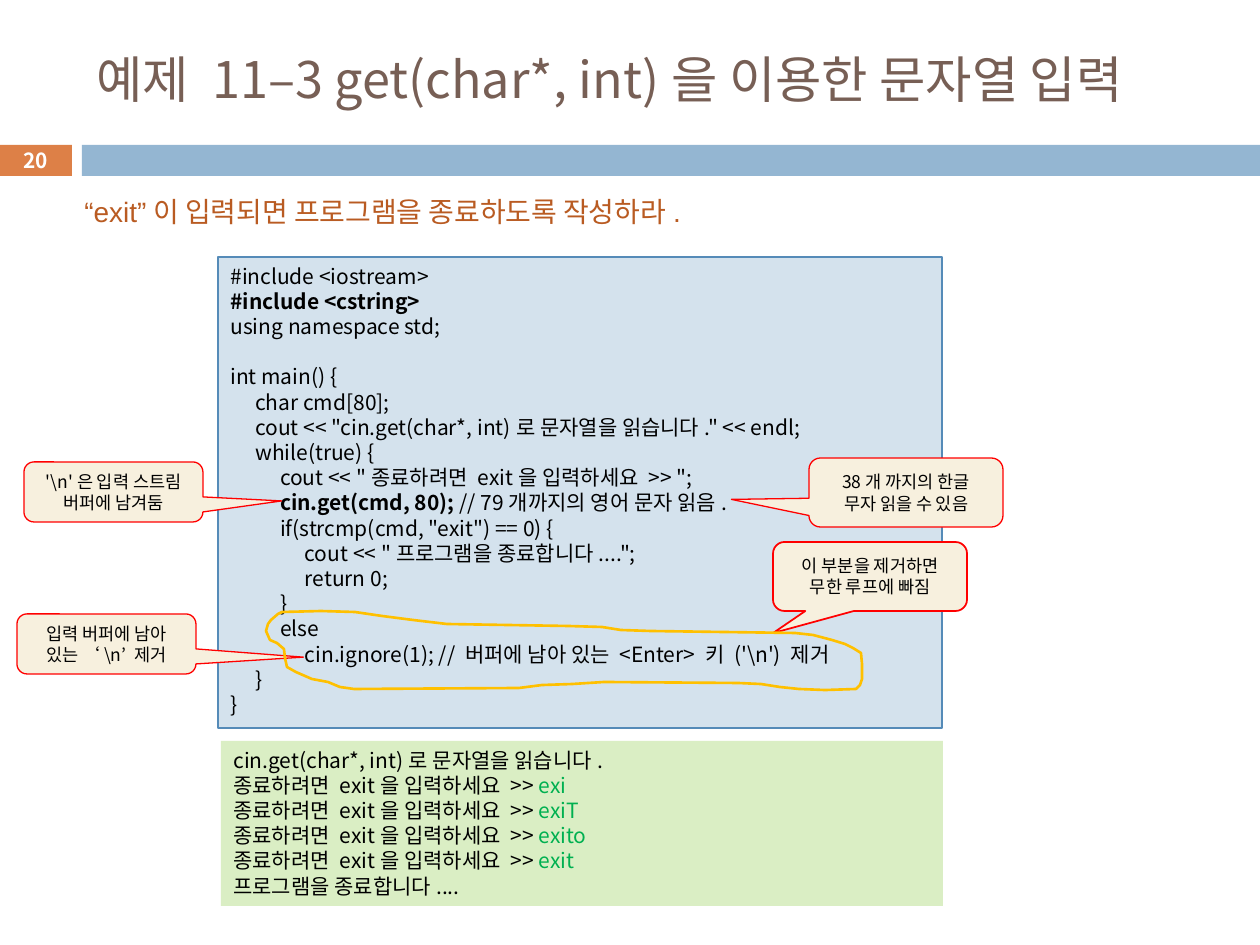
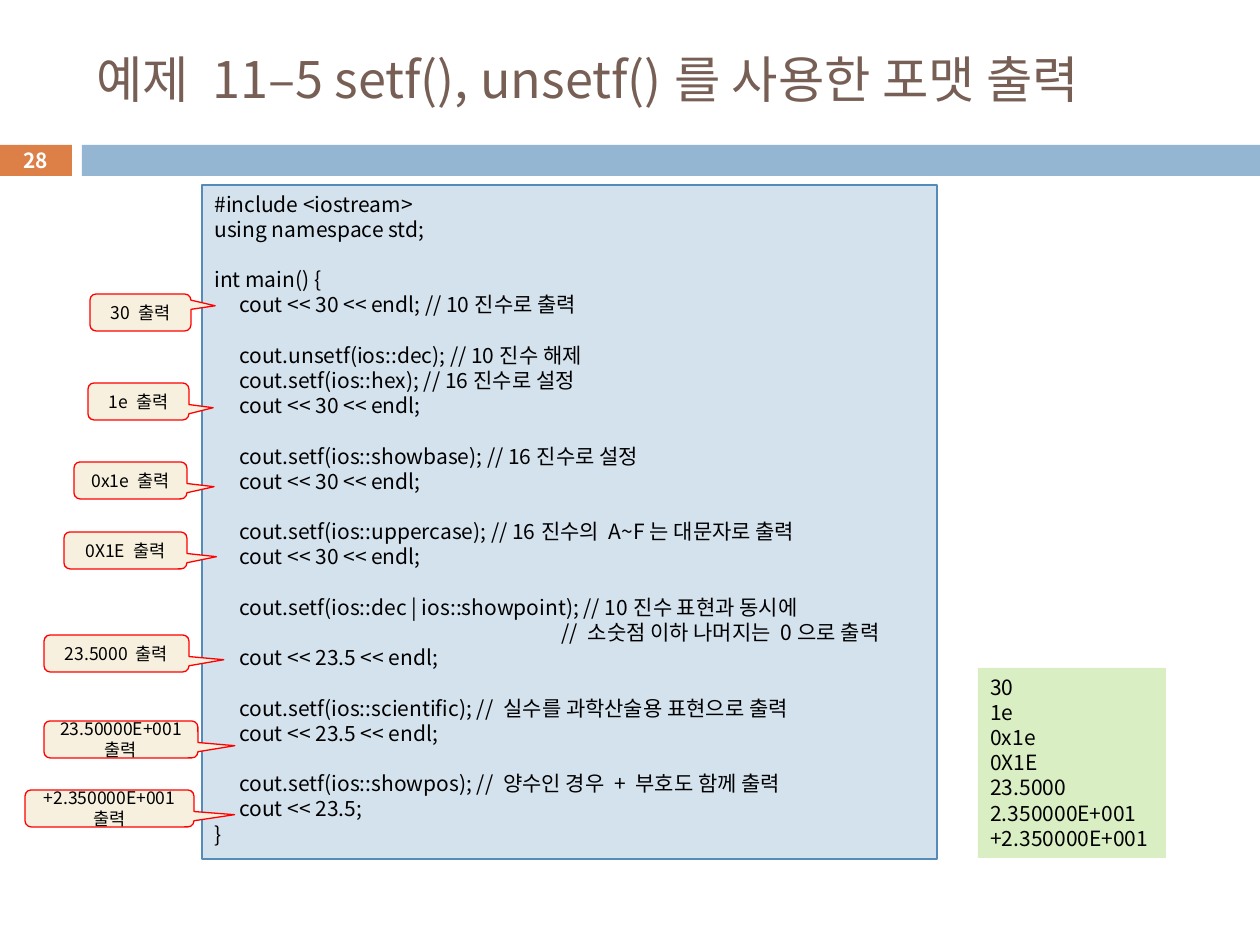
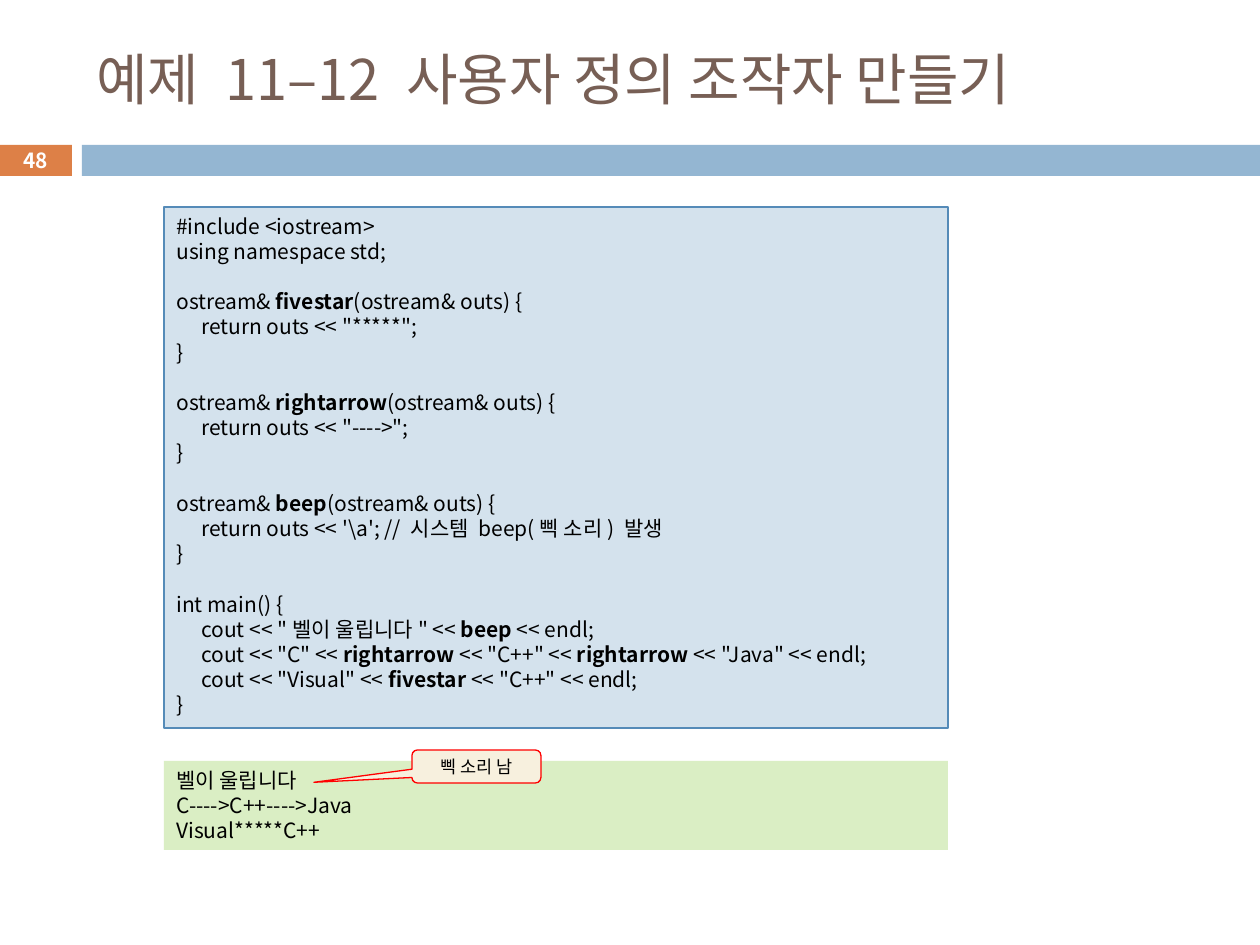
from lxml import etree
from pptx import Presentation
from pptx import util as u
from pptx.dml.color import RGBColor
from pptx.enum import shapes, text
from pptx.oxml.ns import qn

PX = 914400 / 126
SANS = "Noto Sans CJK KR"
TITLE_BROWN = RGBColor(0x77, 0x5F, 0x55)
ORANGE = RGBColor(0xDD, 0x80, 0x47)
BAND_BLUE = RGBColor(0x94, 0xB6, 0xD2)
CODE_BLUE = RGBColor(0xD4, 0xE2, 0xED)
CODE_BORDER = RGBColor(0x55, 0x8B, 0xB8)
CONSOLE_GREEN = RGBColor(0xDA, 0xEE, 0xC4)
INPUT_GREEN = RGBColor(0x00, 0xB0, 0x50)
CALLOUT_CREAM = RGBColor(0xF7, 0xF0, 0xDE)
RED = RGBColor(0xFF, 0x00, 0x00)
AMBER = RGBColor(0xFF, 0xC0, 0x00)
RUST = RGBColor(0xB9, 0x5B, 0x22)
BLACK = RGBColor(0x00, 0x00, 0x00)
WHITE = RGBColor(0xFF, 0xFF, 0xFF)

RECTANGLE = shapes.MSO_SHAPE.RECTANGLE
CALLOUT = shapes.MSO_SHAPE.ROUNDED_RECTANGULAR_CALLOUT
MIDDLE = text.MSO_ANCHOR.MIDDLE
TOP = text.MSO_ANCHOR.TOP
LEFT = text.PP_ALIGN.LEFT
CENTER = text.PP_ALIGN.CENTER
TAB_STEP = 180000
TAB_COUNT = 14


def add_box(slide, kind, bounds, fill=None, line=None, weight=0.75):
    shape = slide.shapes.add_shape(kind, *(round(length * PX) for length in bounds))
    shape.shadow.inherit = False
    if fill is None:
        shape.fill.background()
    else:
        shape.fill.solid()
        shape.fill.fore_color.rgb = fill
    if line is None:
        shape.line.fill.background()
    else:
        shape.line.color.rgb = line
        shape.line.width = u.Pt(weight)
    return shape


def write(shape, lines, size, color=BLACK, align=LEFT, anchor=TOP, bold=False,
          font=SANS, marked_color=None):
    """Fill the shape; parts between backticks are bold, or in marked_color if given."""
    frame = shape.text_frame
    frame.word_wrap = True
    frame.vertical_anchor = anchor
    for index, line in enumerate(lines):
        paragraph = frame.paragraphs[0] if index == 0 else frame.add_paragraph()
        paragraph.alignment = align
        if line.startswith("\t"):
            stops = etree.SubElement(paragraph._p.get_or_add_pPr(), qn("a:tabLst"))
            for stop in range(1, TAB_COUNT + 1):
                etree.SubElement(stops, qn("a:tab"), pos=str(stop * TAB_STEP), algn="l")
        for part, words in enumerate(line.split("`")):
            if not words:
                continue
            marked = part % 2 == 1
            run = paragraph.add_run()
            run.text = words
            run.font.size = u.Pt(size)
            run.font.bold = bold or (marked and marked_color is None)
            run.font.color.rgb = marked_color if marked and marked_color else color
            run.font.name = font
            etree.SubElement(run.font._element, qn("a:ea"), typeface=SANS)
        if not line:
            end = etree.SubElement(paragraph._p, qn("a:endParaRPr"), sz=str(size * 100))
            for script in ("a:latin", "a:ea"):
                etree.SubElement(end, qn(script), typeface=SANS)


GET_CODE = r"""#include <iostream>
`#include <cstring>`
using namespace std;

int main() {
	char cmd[80];
	cout << "cin.get(char*, int)로 문자열을 읽습니다." << endl;
	while(true) {
		cout << "종료하려면 exit을 입력하세요 >> ";
		`cin.get(cmd, 80); `// 79개까지의 영어 문자 읽음.
		if(strcmp(cmd, "exit") == 0) {
			cout << "프로그램을 종료합니다....";
			return 0;
		}
		else
			cin.ignore(1); // 버퍼에 남아 있는 <Enter> 키 ('\n') 제거
	}
}"""
GET_OUTPUT = [
    "cin.get(char*, int)로 문자열을 읽습니다.",
    *(f"종료하려면 exit을 입력하세요 >> `{word}`" for word in ("exi", "exiT", "exito", "exit")),
    "프로그램을 종료합니다....",
]

FORMAT_CODE = r"""#include <iostream>
using namespace std;

int main() {
	cout << 30 << endl; // 10진수로 출력

	cout.unsetf(ios::dec); // 10진수 해제
	cout.setf(ios::hex); // 16진수로 설정
	cout << 30 << endl;

	cout.setf(ios::showbase); // 16진수로 설정
	cout << 30 << endl;

	cout.setf(ios::uppercase); // 16진수의 A~F는 대문자로 출력
	cout << 30 << endl;

	cout.setf(ios::dec | ios::showpoint); // 10진수 표현과 동시에
														// 소숫점 이하 나머지는 0으로 출력
	cout << 23.5 << endl;

	cout.setf(ios::scientific); // 실수를 과학산술용 표현으로 출력
	cout << 23.5 << endl;

	cout.setf(ios::showpos); // 양수인 경우 + 부호도 함께 출력
	cout << 23.5;
}"""
FORMAT_OUTPUT = ["30", "1e", "0x1e", "0X1E", "23.5000", "2.350000E+001", "+2.350000E+001"]

MANIPULATOR_CODE = r"""#include <iostream>
using namespace std;

ostream& `fivestar`(ostream& outs) {
	return outs << "*****";
}

ostream& `rightarrow`(ostream& outs) {
	return outs << "---->";
}

ostream& `beep`(ostream& outs) {
	return outs << '\a'; // 시스템 beep(삑 소리) 발생
}

int main() {
	cout << "벨이 울립니다" <<` beep `<< endl;
	cout << "C" << `rightarrow` << "C++" << `rightarrow` << "Java" << endl;
	cout << "Visual" << `fivestar `<< "C++" << endl;
}"""
MANIPULATOR_OUTPUT = ["벨이 울립니다", "C---->C++---->Java", "Visual*****C++"]

# Callouts: words, bounds, tip offset as a share of the size, line weight
GET_CALLOUTS = [
    (r"'\n'은 입력 스트림 버퍼에 남겨둠", (24, 462, 179, 60), (0.94, 0.15), 0.75),
    (r"입력 버퍼에 남아 있는 ‘\n’ 제거", (17, 614, 179, 60), (1.1, 0.22), 0.75),
    ("이 부분을 제거하면 무한 루프에 빠짐", (773, 542, 194, 69), (-0.5, 0.82), 1),
    ("38개 까지의 한글 무자 읽을 수 있음", (809, 458, 194, 69), (-0.9, 0.1), 0.75),
]
FORMAT_CALLOUTS = [
    (f"{value} 출력", (left, top, width, 37), (0.74, tip), 0.75)
    for value, left, top, width, tip in [
        ("30", 90, 294, 101, -0.18),
        ("1e", 88, 383, 101, 0.17),
        ("0x1e", 74, 462, 113, 0.17),
        ("0X1E", 64, 532, 123, 0.17),
        ("23.5000", 44, 635, 145, 0.17),
        ("23.50000E+001", 44, 721, 154, 0.17),
        ("+2.350000E+001", 25, 790, 169, 0.17),
    ]
]
MANIPULATOR_CALLOUTS = [("삑 소리 남", (412, 750, 129, 33), (-1.26, 0.48), 0.75)]

# Slides: number, title, title size, code, its bounds, output, its bounds, callouts
EXAMPLES = [
    (20, "예제 11–3 get(char*, int)을 이용한 문자열 입력", 28.8,
     GET_CODE, (218, 257, 724, 471), GET_OUTPUT, (221, 741, 722, 165), GET_CALLOUTS),
    (28, "예제 11–5 setf(), unsetf()를 사용한 포맷 출력", 28.8,
     FORMAT_CODE, (202, 185, 735, 674), FORMAT_OUTPUT, (978, 668, 188, 190), FORMAT_CALLOUTS),
    (48, "예제 11–12 사용자 정의 조작자 만들기", 32,
     MANIPULATOR_CODE, (164, 207, 784, 521), MANIPULATOR_OUTPUT, (164, 761, 784, 89),
     MANIPULATOR_CALLOUTS),
]

presentation = Presentation()
presentation.slide_width = u.Inches(10)
presentation.slide_height = u.Inches(7.5)

for number, title, title_size, code, code_bounds, output, output_bounds, callouts in EXAMPLES:
    slide = presentation.slides.add_slide(presentation.slide_layouts[6])
    add_box(slide, RECTANGLE, (-1, 145, 73, 31), ORANGE)
    add_box(slide, RECTANGLE, (82, 145, 1178, 31), BAND_BLUE)
    write(add_box(slide, RECTANGLE, (84, 31, 1124, 94)), [title], title_size,
          TITLE_BROWN, anchor=MIDDLE)
    write(add_box(slide, RECTANGLE, (-1, 143, 73, 34)), [str(number)], 11.9,
          WHITE, CENTER, MIDDLE, bold=True)
    write(add_box(slide, RECTANGLE, code_bounds, CODE_BLUE, CODE_BORDER), code.split("\n"), 12)
    write(add_box(slide, RECTANGLE, output_bounds, CONSOLE_GREEN), output, 12,
          marked_color=INPUT_GREEN)
    for words, bounds, tip, weight in callouts:
        callout = add_box(slide, CALLOUT, bounds, CALLOUT_CREAM, RED, weight)
        callout.adjustments[0], callout.adjustments[1] = tip
        write(callout, [words], 10, align=CENTER, anchor=MIDDLE)

get_slide = presentation.slides[0]
write(add_box(get_slide, RECTANGLE, (72, 188, 674, 47)),
      ["“exit”이 입력되면 프로그램을 종료하도록 작성하라."], 16, RUST, font="Arial")

ELSE_OUTLINE = [
    (321, 611), (282, 612), (278, 614), (271, 620), (268, 624), (266, 631), (270, 640),
    (277, 643), (284, 649), (285, 658), (287, 667), (296, 672), (312, 679), (328, 682),
    (340, 687), (354, 689), (519, 688), (542, 685), (572, 684), (604, 682), (738, 683),
    (761, 684), (780, 687), (799, 689), (825, 690), (856, 689), (860, 685), (862, 679),
    (862, 664), (861, 653), (853, 648), (845, 644), (832, 640), (813, 635), (795, 633),
    (651, 631), (621, 630), (602, 627), (568, 626), (447, 624), (413, 620), (382, 616),
    (355, 612),
]
builder = get_slide.shapes.build_freeform(*ELSE_OUTLINE[0], scale=PX)
builder.add_line_segments(ELSE_OUTLINE[1:], close=True)
outline = builder.convert_to_shape()
outline.shadow.inherit = False
outline.fill.background()
outline.line.color.rgb = AMBER
outline.line.width = u.Pt(1.5)

presentation.save("out.pptx")
